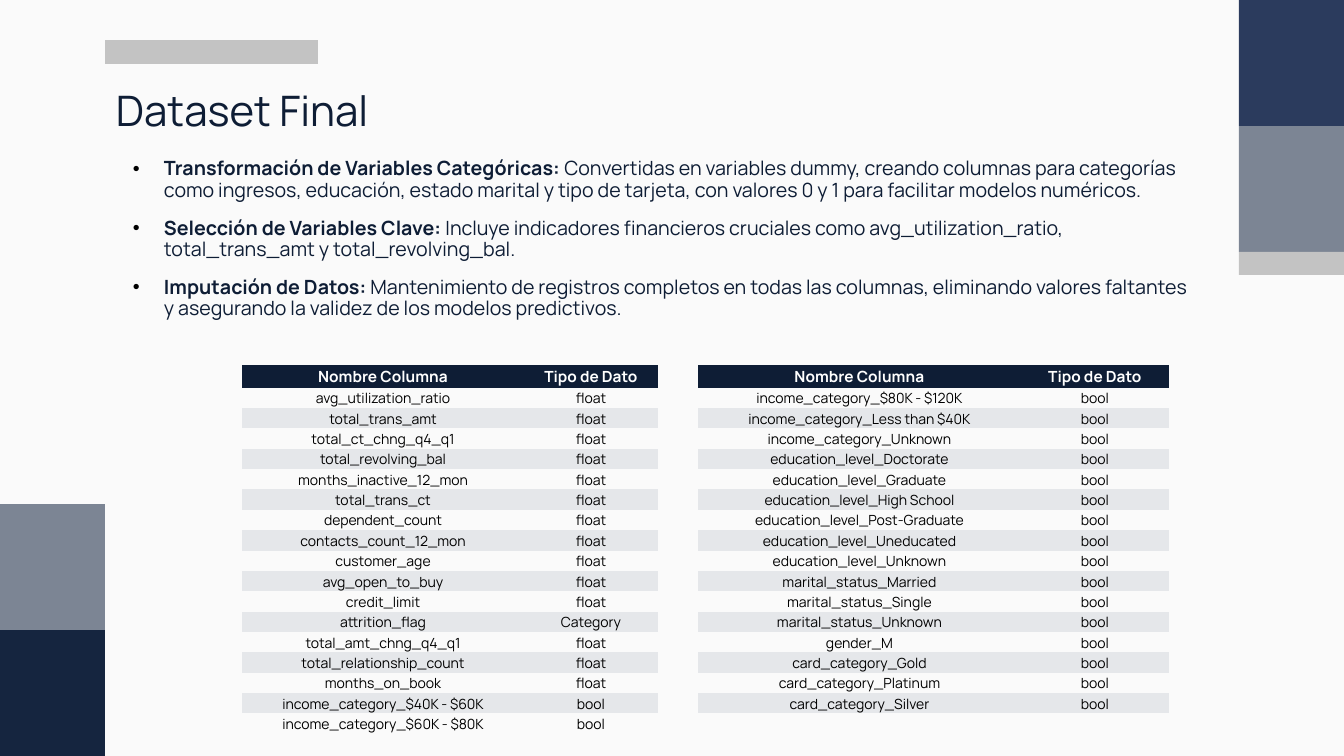
"""Builds the "Dataset Final" slide: three notes above a table of columns and their data types."""
import itertools

import lxml.etree
import pptx
import pptx.dml.color
import pptx.enum.shapes
import pptx.enum.text
import pptx.oxml
import pptx.oxml.ns
import pptx.util

THEME = {
    "font": "Manrope",
    "background": "FAFAFA",
    "ink": "0E1D35",
    "black": "000000",
    "white": "FFFFFF",
    "band": "E5E7EA",
    "night": "15253F",
    "navy": "2B3B5D",
    "slate": "7C8594",
    "silver": "C3C3C3",
    "title_size": 30,
    "note_size": 14,
    "header_size": 11,
    "cell_size": 10,
}
PX = 12192000 / 1344


def px(length):
    return pptx.util.Emu(round(length * PX))


def paint(target, color, size=None, bold=False):
    if size is None:
        target.solid()
        target.fore_color.rgb = pptx.dml.color.RGBColor.from_string(THEME[color])
        return
    target.font.name = THEME["font"]
    target.font.size = pptx.util.Pt(THEME[size])
    target.font.bold = bold
    target.font.color.rgb = pptx.dml.color.RGBColor.from_string(THEME[color])


presentation = pptx.Presentation()
presentation.slide_width = px(1344)
presentation.slide_height = px(756)
slide = presentation.slides.add_slide(presentation.slide_layouts[5])
paint(slide.background.fill, "background")

blocks = [
    (0, 630, 105, 126, "night"),
    (0, 504, 105, 126, "slate"),
    (1239, 0, 105, 126, "navy"),
    (1239, 126, 105, 126, "slate"),
    (1239, 252, 105, 23, "silver"),
    (105, 40, 213, 24, "silver"),
]
for left, top, width, height, color in blocks:
    block = slide.shapes.add_shape(
        pptx.enum.shapes.MSO_SHAPE.RECTANGLE, px(left), px(top), px(width), px(height)
    )
    block.shadow.inherit = False
    block.line.fill.background()
    paint(block.fill, color)

title = slide.shapes.title
title.left, title.top, title.width, title.height = px(106), px(80), px(1132), px(85)
heading = title.text_frame
heading.text = "Dataset Final"
heading.word_wrap = True
heading.auto_size = pptx.enum.text.MSO_AUTO_SIZE.NONE
heading.vertical_anchor = pptx.enum.text.MSO_ANCHOR.TOP
heading.margin_left = heading.margin_right = px(10)
heading.margin_top = heading.margin_bottom = px(10)
heading.paragraphs[0].alignment = pptx.enum.text.PP_ALIGN.LEFT
heading.paragraphs[0].line_spacing = 0.9
paint(heading.paragraphs[0].runs[0], "ink", "title_size")

float_columns = [
    "avg_utilization_ratio", "total_trans_amt", "total_ct_chng_q4_q1",
    "total_revolving_bal", "months_inactive_12_mon", "total_trans_ct",
    "dependent_count", "contacts_count_12_mon", "customer_age",
    "avg_open_to_buy", "credit_limit", "attrition_flag",
    "total_amt_chng_q4_q1", "total_relationship_count", "months_on_book",
]
bool_columns = [
    "income_category_$40K - $60K", "income_category_$60K - $80K",
    "income_category_$80K - $120K", "income_category_Less than $40K",
    "income_category_Unknown", "education_level_Doctorate",
    "education_level_Graduate", "education_level_High School",
    "education_level_Post-Graduate", "education_level_Uneducated",
    "education_level_Unknown", "marital_status_Married",
    "marital_status_Single", "marital_status_Unknown", "gender_M",
    "card_category_Gold", "card_category_Platinum", "card_category_Silver",
]
columns = [(name, "float") for name in float_columns]
columns += [(name, "bool") for name in bool_columns]
columns[float_columns.index("attrition_flag")] = ("attrition_flag", "Category")
header = ("Nombre Columna", "Tipo de Dato")
left_half = [header] + columns[:17]
right_half = [header] + columns[17:]
rows = [
    (*left, "", *right)
    for left, right in itertools.zip_longest(left_half, right_half, fillvalue=("", ""))
]

widths = [282, 134, 40, 323, 148]
frame = slide.shapes.add_table(
    len(rows), len(widths), px(242), px(365), px(sum(widths)), px(20 * len(rows))
)
dataset = frame.table
dataset.first_row = False
dataset.horz_banding = False
for style_id in frame.element.iter(pptx.oxml.ns.qn("a:tableStyleId")):
    style_id.text = "{2D5ABB26-0587-4C30-8999-92F81FD0307C}"
for column, width in zip(dataset.columns, widths):
    column.width = px(width)

for row_index, texts in enumerate(rows):
    dataset.rows[row_index].height = px(20)
    for column_index, text in enumerate(texts):
        cell = dataset.cell(row_index, column_index)
        cell.margin_left = cell.margin_right = px(5)
        cell.margin_top = cell.margin_bottom = 0
        cell.vertical_anchor = pptx.enum.text.MSO_ANCHOR.MIDDLE
        cell.fill.background()
        paragraph = cell.text_frame.paragraphs[0]
        if not text:
            end = lxml.etree.SubElement(paragraph._p, pptx.oxml.ns.qn("a:endParaRPr"))
            end.set("sz", str(THEME["cell_size"] * 100))
            continue
        paragraph.text = text
        paragraph.alignment = pptx.enum.text.PP_ALIGN.CENTER
        paragraph.line_spacing = 1.07
        if row_index == 0:
            paint(cell.fill, "ink")
            paint(paragraph.runs[0], "white", "header_size", True)
        else:
            paint(paragraph.runs[0], "black", "cell_size")
            if row_index % 2 == 0:
                paint(cell.fill, "band")

notes = [
    ("Transformación de Variables Categóricas: ",
     "Convertidas en variables dummy, creando columnas para categorías como ingresos, "
     "educación, estado marital y tipo de tarjeta, con valores 0 y 1 para facilitar "
     "modelos numéricos."),
    ("Selección de Variables Clave: ",
     "Incluye indicadores financieros cruciales como avg_utilization_ratio, "
     "total_trans_amt y total_revolving_bal."),
    ("Imputación de Datos: ",
     "Mantenimiento de registros completos en todas las columnas, eliminando valores "
     "faltantes y asegurando la validez de los modelos predictivos."),
]
summary = slide.shapes.add_textbox(px(106), px(154), px(1101), px(177)).text_frame
summary.word_wrap = True
for note_index, note in enumerate(notes):
    paragraph = summary.paragraphs[0] if note_index == 0 else summary.add_paragraph()
    paragraph.line_spacing = 0.9
    if note_index < len(notes) - 1:
        paragraph.space_after = pptx.util.Pt(12)
    for text, bold in zip(note, (True, False)):
        run = paragraph.add_run()
        run.text = text
        paint(run, "ink", "note_size", bold)
    properties = paragraph._p.get_or_add_pPr()
    properties.set("marL", str(px(48)))
    properties.set("indent", str(px(-31)))
    bullet_color = lxml.etree.SubElement(properties, pptx.oxml.ns.qn("a:buClr"))
    shade = lxml.etree.SubElement(bullet_color, pptx.oxml.ns.qn("a:srgbClr"))
    shade.set("val", THEME["black"])
    bullet_font = lxml.etree.SubElement(properties, pptx.oxml.ns.qn("a:buFont"))
    bullet_font.set("typeface", "Arial")
    bullet = lxml.etree.SubElement(properties, pptx.oxml.ns.qn("a:buChar"))
    bullet.set("char", "•")

presentation.save("out.pptx")
